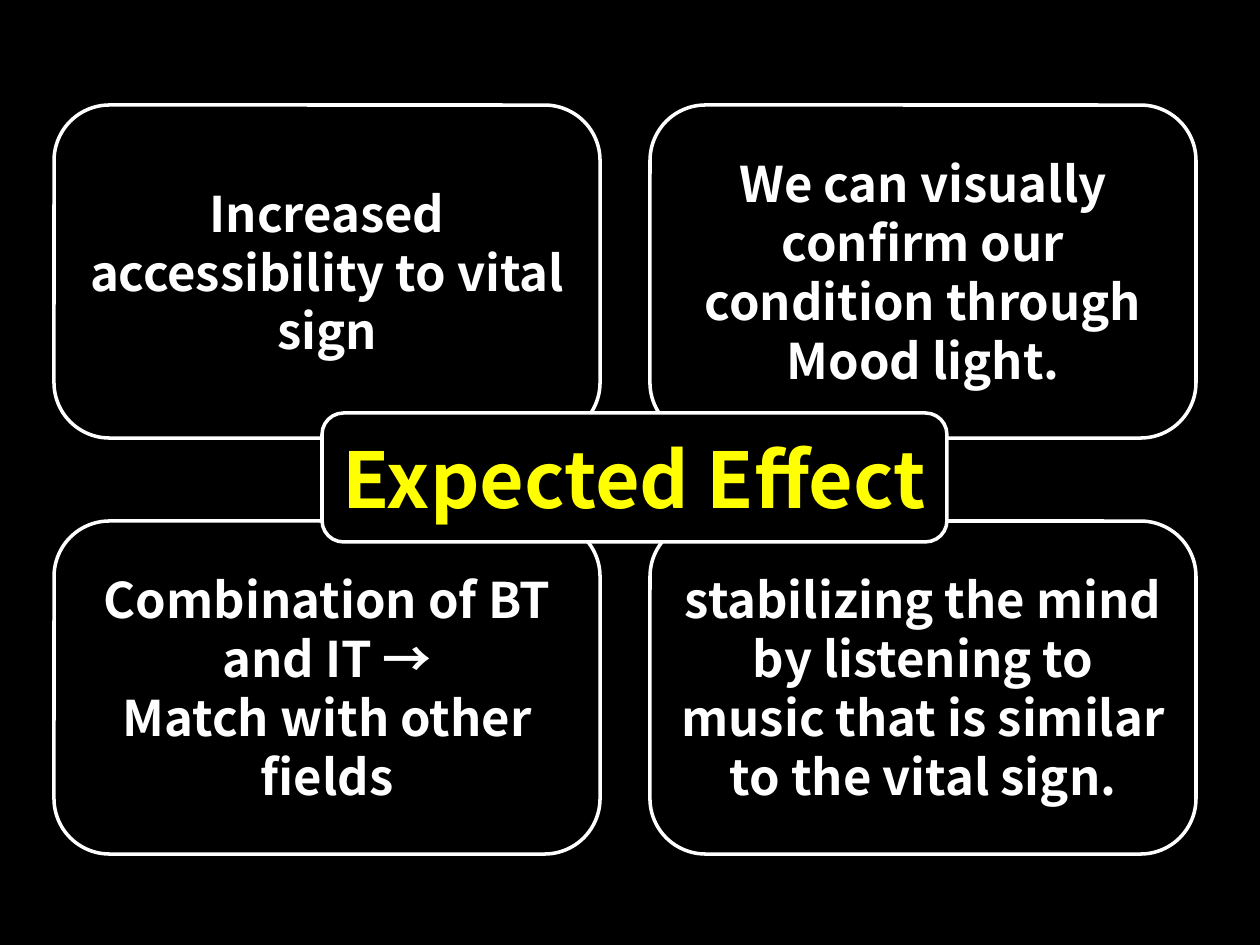
"""Build the Expected Effect slide: four outcome cards around a central title."""
from dataclasses import dataclass

from pptx import Presentation
from pptx import util as u
from pptx.dml import color
from pptx.enum import shapes, text

PX = 914400 / 126


@dataclass(frozen=True)
class Theme:
    font: str = "Noto Sans CJK KR"
    background: color.RGBColor = color.RGBColor(0, 0, 0)
    body: color.RGBColor = color.RGBColor(255, 255, 255)
    accent: color.RGBColor = color.RGBColor(255, 255, 0)
    body_size: int = 28
    title_size: int = 44
    outline: int = 2


@dataclass(frozen=True)
class Card:
    left: int
    top: int
    width: int
    height: int
    lines: tuple[str, ...]


THEME = Theme()
COLUMNS, CARD_WIDTH, CARD_HEIGHT = 2, 546, 333
LEFT, TOP, COLUMN_STEP, ROW_STEP = 54, 105, 596, 416
EFFECTS = (
    ("Increased accessibility to vital sign",),
    ("We can visually confirm our condition through Mood light.",),
    ("Combination of BT and IT →", "Match with other fields"),
    ("stabilizing the mind by listening to music that is similar to the vital sign.",),
)
TITLE = Card(322, 413, 625, 129, ("Expected Effect",))


def px(length: int) -> u.Emu:
    """Convert pixels to EMU."""
    return u.Emu(round(length * PX))


def write(para, words: str, *, size: int, ink: color.RGBColor) -> None:
    """Write one centred bold line of text."""
    para.alignment = text.PP_ALIGN.CENTER
    span = para.add_run()
    span.text = words
    span.font.name = THEME.font
    span.font.size = u.Pt(size)
    span.font.bold = True
    span.font.color.rgb = ink


def draw_card(page, card: Card, *, size: int, ink: color.RGBColor) -> None:
    """Draw a rounded outlined card with its text."""
    box = page.shapes.add_shape(
        shapes.MSO_SHAPE.ROUNDED_RECTANGLE,
        px(card.left), px(card.top), px(card.width), px(card.height),
    )
    box.shadow.inherit = False
    box.fill.solid()
    box.fill.fore_color.rgb = THEME.background
    box.line.color.rgb = THEME.body
    box.line.width = u.Pt(THEME.outline)
    frame = box.text_frame
    frame.word_wrap = True
    frame.vertical_anchor = text.MSO_ANCHOR.MIDDLE
    for index, words in enumerate(card.lines):
        para = frame.add_paragraph() if index else frame.paragraphs[0]
        write(para, words, size=size, ink=ink)


def main() -> None:
    """Build and save the deck."""
    deck = Presentation()
    deck.slide_width, deck.slide_height = px(1260), px(945)
    page = deck.slides.add_slide(deck.slide_layouts[6])
    page.background.fill.solid()
    page.background.fill.fore_color.rgb = THEME.background
    for index, lines in enumerate(EFFECTS):
        row, column = divmod(index, COLUMNS)
        card = Card(LEFT + column * COLUMN_STEP, TOP + row * ROW_STEP,
                    CARD_WIDTH, CARD_HEIGHT, lines)
        draw_card(page, card, size=THEME.body_size, ink=THEME.body)
    draw_card(page, TITLE, size=THEME.title_size, ink=THEME.accent)
    deck.save("out.pptx")


if __name__ == "__main__":
    main()
